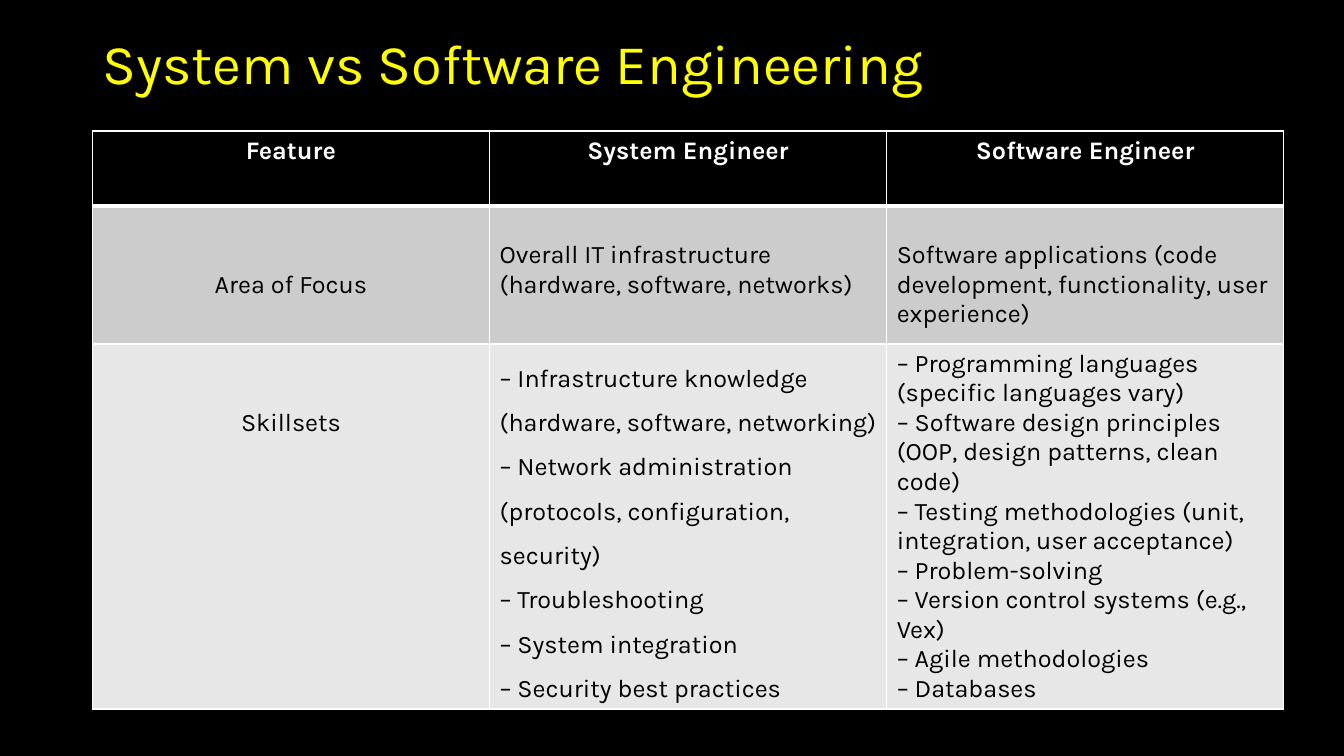
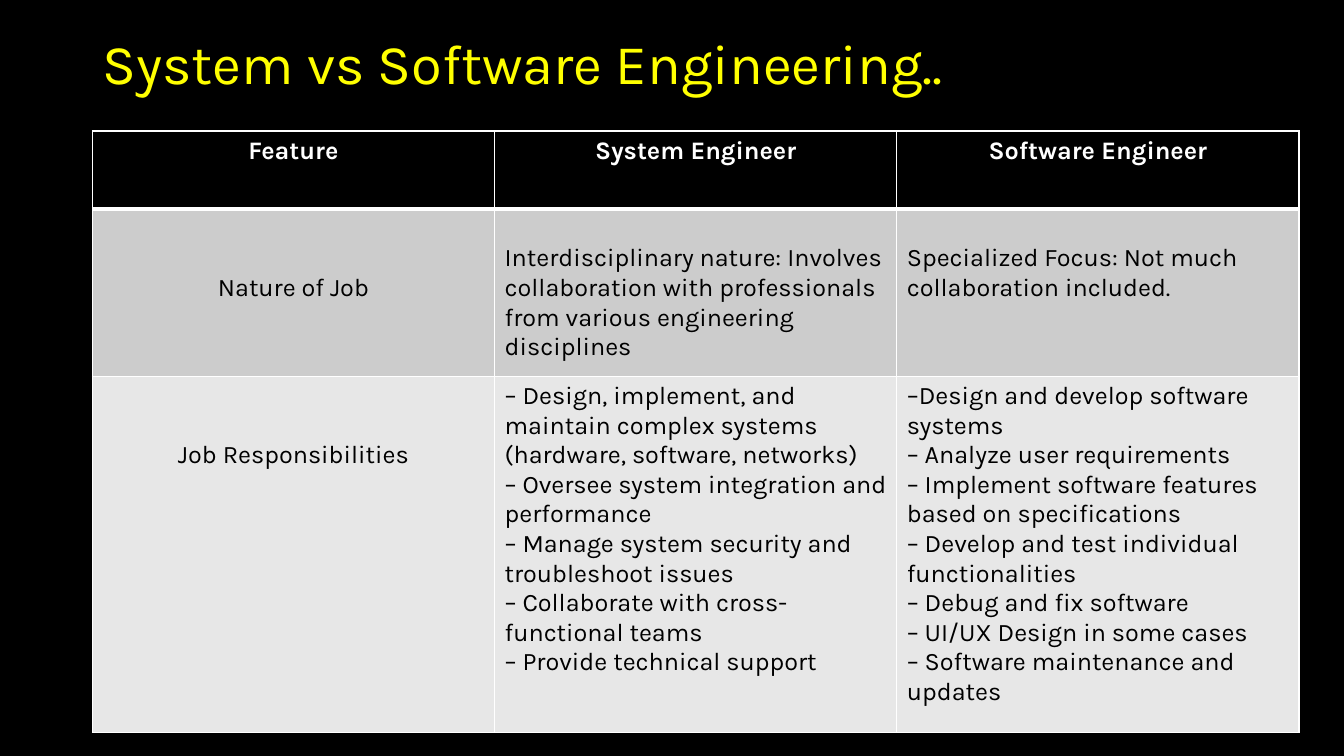
from lxml.etree import SubElement
from pptx import Presentation
from pptx.dml.color import RGBColor
from pptx.enum.text import MSO_ANCHOR, MSO_AUTO_SIZE, PP_ALIGN
from pptx.oxml.ns import qn
from pptx.util import Pt

BLACK = RGBColor(0x00, 0x00, 0x00)
WHITE = RGBColor(0xFF, 0xFF, 0xFF)
YELLOW = RGBColor(0xFF, 0xFF, 0x00)
FILLS = [BLACK, RGBColor(0xCC, 0xCC, 0xCC), RGBColor(0xE7, 0xE7, 0xE7)]
FONT = "Karla"
LEFT, TOP = 66, 93.6
PAD, LINE = 3.6, 21.15  # cell inset and height of one text line

HEAD = [["Feature"], ["System Engineer"], ["Software Engineer"]]
# Lines left free above the text of each cell
DROP = [[0, 0, 0], [2, 1, 1], [2, 0, 0]]
# Each cell is a list of paragraphs; "wide" is the cell with open line spacing.
SLIDES = [
    {
        "title": "System vs Software Engineering",
        "col": 283.7,
        "rows": [53.6, 98.6, 260.6],
        "wide": (2, 1),
        "cells": [
            HEAD,
            [
                ["Area of Focus"],
                ["Overall IT infrastructure (hardware, software, networks)"],
                ["Software applications (code development, functionality, "
                 "user experience)"],
            ],
            [
                ["Skillsets"],
                ["– Infrastructure knowledge (hardware, software, networking)",
                 "– Network administration (protocols, configuration, security)",
                 "– Troubleshooting",
                 "– System integration",
                 "– Security best practices"],
                ["– Programming languages (specific languages vary)",
                 "– Software design principles (OOP, design patterns, clean code)",
                 "– Testing methodologies (unit, integration, user acceptance)",
                 "– Problem-solving",
                 "– Version control systems (e.g., Vex)",
                 "– Agile methodologies",
                 "– Databases"],
            ],
        ],
    },
    {
        "title": "System vs Software Engineering..",
        "col": 287.3,
        "rows": [55.8, 119.5, 254.2],
        "wide": None,
        "cells": [
            HEAD,
            [
                ["Nature of Job"],
                ["Interdisciplinary nature: Involves collaboration with "
                 "professionals from various engineering disciplines"],
                ["Specialized Focus: Not much collaboration included."],
            ],
            [
                ["Job Responsibilities"],
                ["– Design, implement, and maintain complex systems "
                 "(hardware, software, networks)",
                 "– Oversee system integration and performance",
                 "– Manage system security and troubleshoot issues",
                 "– Collaborate with cross-functional teams",
                 "– Provide technical support"],
                ["–Design and develop software systems",
                 "– Analyze user requirements",
                 "– Implement software features based on specifications",
                 "– Develop and test individual functionalities",
                 "– Debug and fix software",
                 "– UI/UX Design in some cases",
                 "– Software maintenance and updates"],
            ],
        ],
    },
]


def write(frame, lines, size=18, color=BLACK, bold=False,
          align=PP_ALIGN.LEFT, space=1.0):
    for i, line in enumerate(lines):
        para = frame.paragraphs[0] if i == 0 else frame.add_paragraph()
        para.alignment = align
        para.line_spacing = space
        run = para.add_run()
        run.text = line
        font = run.font
        font.name, font.size, font.bold = FONT, Pt(size), bold
        font.color.rgb = color


def border(cell, **widths):
    """Draw white cell edges; keys are L, R, T, B in that order."""
    props = cell._tc.get_or_add_tcPr()
    for side, width in widths.items():
        line = SubElement(props, qn("a:ln" + side), w=str(int(Pt(width))))
        fill = SubElement(line, qn("a:solidFill"))
        SubElement(fill, qn("a:srgbClr"), val=str(WHITE))


def add_grid(slide, data):
    rows, col = data["rows"], data["col"]
    shape = slide.shapes.add_table(len(rows), len(HEAD), Pt(LEFT), Pt(TOP),
                                   Pt(col * len(HEAD)), Pt(sum(rows)))
    table = shape.table
    table.horz_banding = False
    for column in table.columns:
        column.width = Pt(col)
    for r, height in enumerate(rows):
        table.rows[r].height = Pt(height)
        for c, lines in enumerate(data["cells"][r]):
            cell = table.cell(r, c)
            border(cell, L=1, R=1, T=3 if r == 1 else 1, B=3 if r == 0 else 1)
            cell.fill.solid()
            cell.fill.fore_color.rgb = FILLS[r]
            cell.margin_top = Pt(PAD + LINE * DROP[r][c])
            mid = r == 0 or c == 0
            write(cell.text_frame, lines, bold=r == 0,
                  color=WHITE if r == 0 else BLACK,
                  align=PP_ALIGN.CENTER if mid else PP_ALIGN.LEFT,
                  space=1.5 if (r, c) == data["wide"] else 1.0)


def main():
    prs = Presentation()
    prs.slide_width, prs.slide_height = Pt(960), Pt(540)
    back = prs.slide_master.background.fill
    back.solid()
    back.fore_color.rgb = BLACK

    layout = prs.slide_layouts[5]
    head = layout.placeholders[0]
    head.left, head.top = Pt(LEFT), Pt(16.6)
    head.width, head.height = Pt(828), Pt(61.2)
    head.text_frame.vertical_anchor = MSO_ANCHOR.MIDDLE
    head.text_frame.auto_size = MSO_AUTO_SIZE.NONE

    for data in SLIDES:
        slide = prs.slides.add_slide(layout)
        write(slide.shapes.title.text_frame, [data["title"]], size=40,
              color=YELLOW, space=0.9)
        add_grid(slide, data)
    prs.save("out.pptx")


if __name__ == "__main__":
    main()
